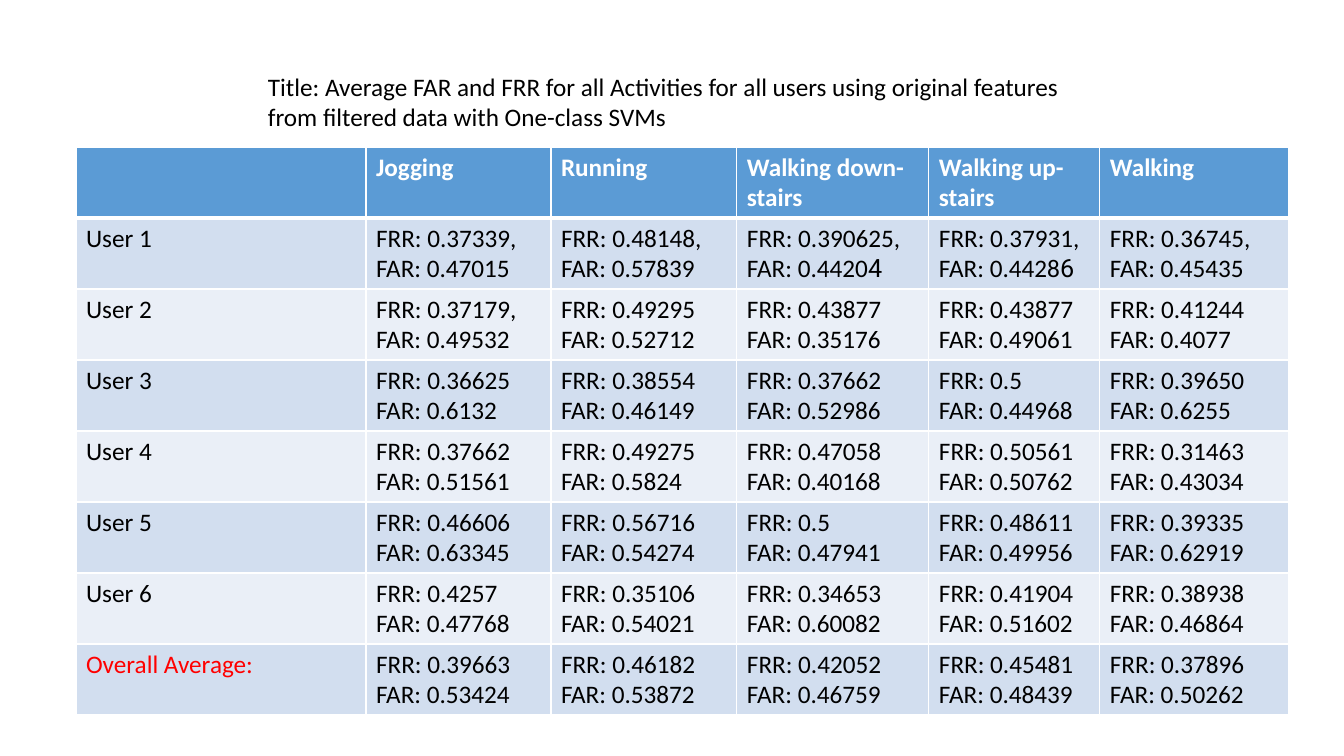
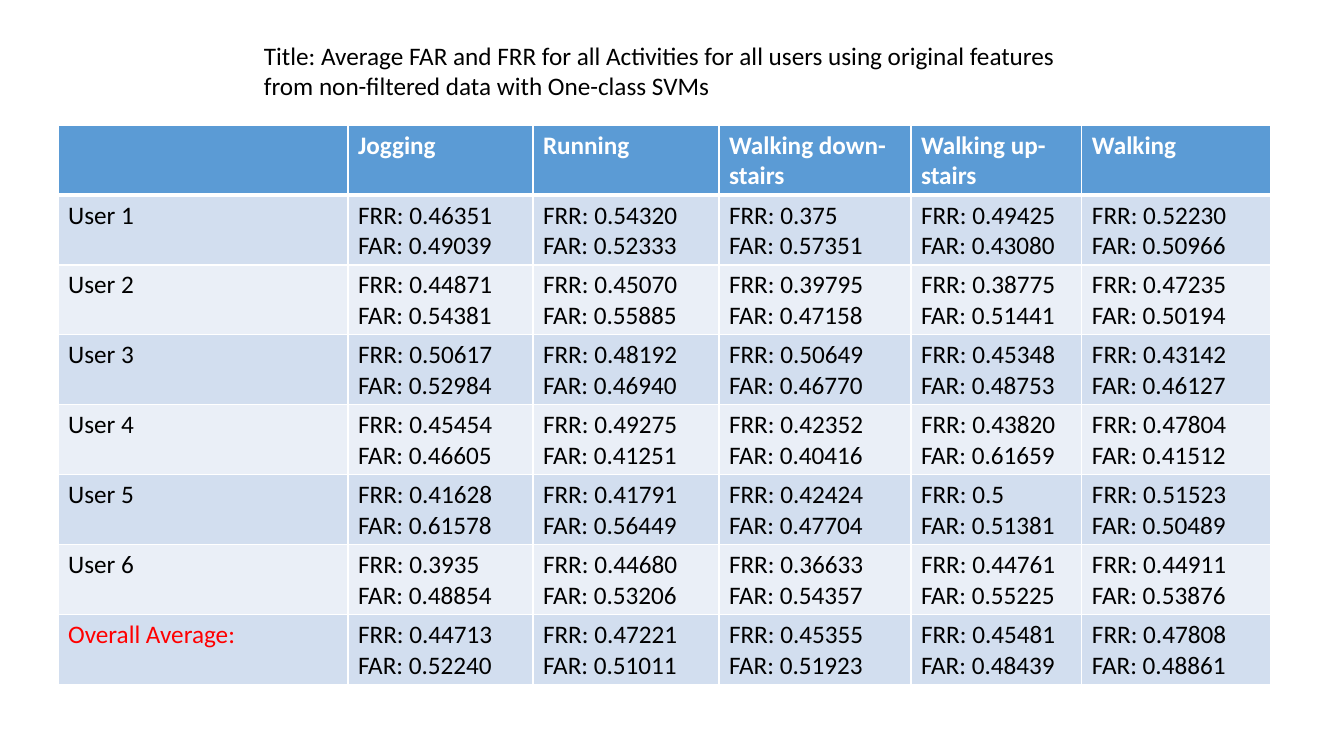
"""Build two slides of error-rate tables for activity recognition."""
import dataclasses
import typing

import lxml.etree
import pptx
import pptx.dml.color
import pptx.oxml.ns
import pptx.slide
import pptx.table
import pptx.text.text
import pptx.util

EMU_PER_PIXEL = 914400 / 100.8
FONT, ACCENT_FONT = "Calibri", "Roboto"
TEXT_SIZE = 18
WHITE, BLACK, RED = "FFFFFF", "000000", "FF0000"
HEADER_FILL = "5B9BD5"
BAND_FILLS = ("D2DEEF", "EAEFF7")
THIN, THICK = 1, 3
COLUMN_WIDTHS = (290, 185, 186, 192, 171, 189)
TITLE_SIZE = (820, 72)
HEADERS = ("", "Jogging", "Running", "Walking down-stairs", "Walking up-stairs", "Walking")
ROW_LABELS = ("User 1", "User 2", "User 3", "User 4", "User 5", "User 6", "Overall Average:")
ACCENT_MARK = "*"


@dataclasses.dataclass(frozen=True)
class RateSlide:
    """One slide; in a reading "/" starts a paragraph and "*" accents the last digit."""
    data_kind: str
    title_at: tuple[int, int]
    table_at: tuple[int, int]
    row_height: int
    bottom_margin: int
    readings: tuple[tuple[str, ...], ...]


RATE_SLIDES = (
    RateSlide("filtered", (258, 66), (76, 147), 71, 5, (
        ("0.37339, 0.47015", "0.48148, 0.57839", "0.390625, 0.44204*",
         "0.37931,/0.44286*", "0.36745, 0.45435"),
        ("0.37179,/0.49532", "0.49295/0.52712", "0.43877/0.35176",
         "0.43877/0.49061", "0.41244/0.4077"),
        ("0.36625/0.6132", "0.38554/0.46149", "0.37662/0.52986",
         "0.5/0.44968", "0.39650/0.6255"),
        ("0.37662/0.51561", "0.49275/0.5824", "0.47058/0.40168",
         "0.50561/0.50762", "0.31463/0.43034"),
        ("0.46606/0.63345", "0.56716/0.54274", "0.5/0.47941",
         "0.48611/0.49956", "0.39335/0.62919"),
        ("0.4257/0.47768", "0.35106/0.54021", "0.34653/0.60082",
         "0.41904/0.51602", "0.38938/0.46864"),
        ("0.39663/0.53424", "0.46182/0.53872", "0.42052/0.46759",
         "0.45481/0.48439", "0.37896/0.50262"),
    )),
    RateSlide("non-filtered", (254, 35), (58, 125), 70, 4, (
        ("0.46351 0.49039", "0.54320 0.52333", "0.375/0.57351",
         "0.49425/0.43080", "0.52230 0.50966"),
        ("0.44871/0.54381", "0.45070/0.55885", "0.39795/0.47158",
         "0.38775/0.51441", "0.47235/0.50194"),
        ("0.50617/0.52984", "0.48192/0.46940", "0.50649/0.46770",
         "0.45348/0.48753", "0.43142/0.46127"),
        ("0.45454/0.46605", "0.49275/0.41251", "0.42352/0.40416",
         "0.43820/0.61659", "0.47804/0.41512"),
        ("0.41628/0.61578", "0.41791/0.56449", "0.42424/0.47704",
         "0.5/0.51381", "0.51523/0.50489"),
        ("0.3935/0.48854", "0.44680/0.53206", "0.36633/0.54357",
         "0.44761/0.55225", "0.44911/0.53876"),
        ("0.44713/0.52240", "0.47221/0.51011", "0.45355/0.51923",
         "0.45481/0.48439", "0.47808/0.48861"),
    )),
)


def px(pixels: int) -> pptx.util.Emu:
    """Turn pixels into EMU."""
    return pptx.util.Emu(round(pixels * EMU_PER_PIXEL))


def rgb(value: str) -> pptx.dml.color.RGBColor:
    """Turn a hex string into a colour."""
    return pptx.dml.color.RGBColor.from_string(value)


def write_text(frame: pptx.text.text.TextFrame, text: str, color: str = BLACK,
               bold: bool = False) -> None:
    """Write text in the shared style, with a marked last digit in the accent font."""
    accented = text.endswith(ACCENT_MARK)
    body = text.removesuffix(ACCENT_MARK)
    frame.text = body[:-1] if accented else body
    if accented:
        frame.paragraphs[-1].add_run().text = body[-1]
    for paragraph in frame.paragraphs:
        for run in paragraph.runs:
            run.font.name = FONT
            run.font.size = pptx.util.Pt(TEXT_SIZE)
            run.font.bold = bold
            run.font.color.rgb = rgb(color)
    if accented:
        frame.paragraphs[-1].runs[-1].font.name = ACCENT_FONT


def style_cell(cell: pptx.table._Cell, fill: str, top: int, bottom: int) -> None:
    """Give a cell white borders and a solid fill."""
    properties = cell._tc.get_or_add_tcPr()
    qn: typing.Callable[[str], str] = pptx.oxml.ns.qn
    for tag, width in (("a:lnL", THIN), ("a:lnR", THIN), ("a:lnT", top), ("a:lnB", bottom)):
        border = lxml.etree.SubElement(properties, qn(tag), w=str(pptx.util.Pt(width)))
        border_fill = lxml.etree.SubElement(border, qn("a:solidFill"))
        lxml.etree.SubElement(border_fill, qn("a:srgbClr"), val=WHITE)
    cell.fill.solid()
    cell.fill.fore_color.rgb = rgb(fill)


def reading_text(reading: str) -> str:
    """Label the two rates of a reading."""
    return "FRR: " + reading.replace(" ", " FAR: ").replace("/", "\nFAR: ")


def add_title(slide: pptx.slide.Slide, content: RateSlide) -> None:
    """Add the table title."""
    title = slide.shapes.add_textbox(*map(px, content.title_at + TITLE_SIZE))
    title.text_frame.word_wrap = True
    write_text(title.text_frame,
               "Title: Average FAR and FRR for all Activities for all users using original "
               f"features from {content.data_kind} data with One-class SVMs")


def add_rates(slide: pptx.slide.Slide, content: RateSlide) -> None:
    """Add the table of rates by user and activity."""
    row_count = len(ROW_LABELS) + 1
    size = (sum(COLUMN_WIDTHS), content.row_height * row_count)
    rates = slide.shapes.add_table(row_count, len(HEADERS),
                                   *map(px, content.table_at + size)).table
    for column, width in zip(rates.columns, COLUMN_WIDTHS):
        column.width = px(width)
    for row in rates.rows:
        row.height = px(content.row_height)
        for cell in row.cells:
            cell.margin_bottom = px(content.bottom_margin)
    for cell, header in zip(rates.rows[0].cells, HEADERS):
        style_cell(cell, HEADER_FILL, THIN, THICK)
        write_text(cell.text_frame, header, WHITE, bold=True)
    for index, (label, readings) in enumerate(zip(ROW_LABELS, content.readings)):
        label_color = RED if label == ROW_LABELS[-1] else BLACK
        texts = (label, *map(reading_text, readings))
        for column, (cell, text) in enumerate(zip(rates.rows[index + 1].cells, texts)):
            style_cell(cell, BAND_FILLS[index % 2], THICK if index == 0 else THIN, THIN)
            write_text(cell.text_frame, text, label_color if column == 0 else BLACK)


def main() -> None:
    """Build and save the deck."""
    deck = pptx.Presentation()
    deck.slide_width, deck.slide_height = px(1344), px(756)
    for content in RATE_SLIDES:
        slide = deck.slides.add_slide(deck.slide_layouts[6])
        add_title(slide, content)
        add_rates(slide, content)
    deck.save("out.pptx")


main()
